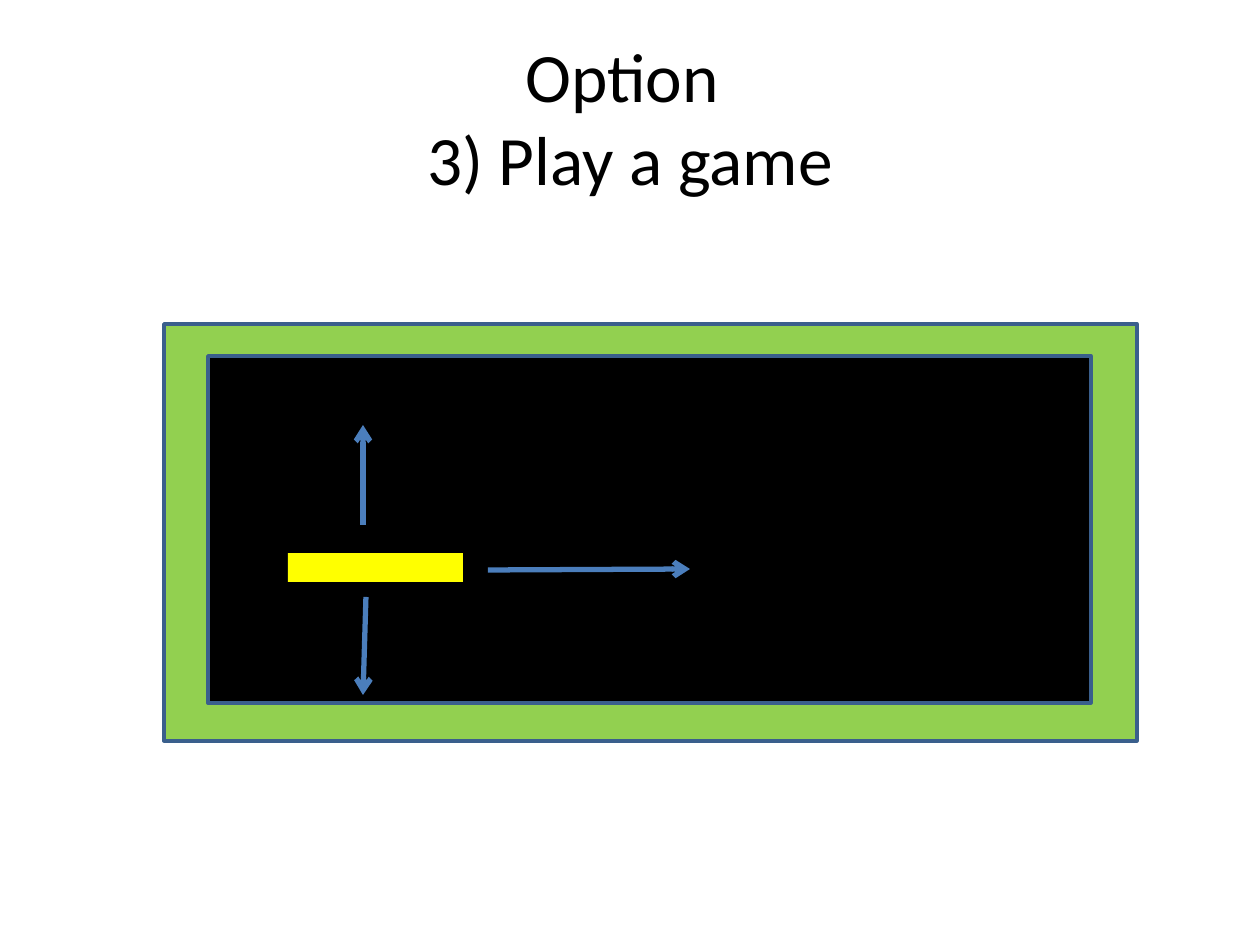
from typing import NamedTuple

from lxml.etree import SubElement
from pptx import Presentation
from pptx.dml.color import RGBColor
from pptx.enum.shapes import MSO_CONNECTOR, MSO_SHAPE
from pptx.enum.text import MSO_ANCHOR, PP_ALIGN
from pptx.oxml.ns import qn
from pptx.util import Emu, Pt

SCALE = 914400 // 126
COLORS = {
    "text": "000000",
    "grass": "92D050",
    "road": "000000",
    "car": "FFFF00",
    "edge": "3A5F8C",
    "arrow": "4B7EBC",
}


class Block(NamedTuple):
    left: int
    top: int
    width: int
    height: int
    fill: str
    edge: bool


class Arrow(NamedTuple):
    x1: int
    y1: int
    x2: int
    y2: int


BLOCKS = [
    Block(164, 324, 973, 417, "grass", True),
    Block(208, 356, 883, 347, "road", True),
    Block(288, 553, 175, 29, "car", False),
]
ARROWS = [
    Arrow(363, 525, 363, 425),  # up
    Arrow(366, 597, 363, 695),  # down
    Arrow(488, 570, 690, 569),  # forward
]


def px(n: int) -> Emu:
    return Emu(n * SCALE)


def color(name: str) -> RGBColor:
    return RGBColor.from_string(COLORS[name])


def draw_title(slide, lines: list[str]) -> None:
    box = slide.shapes.add_textbox(px(63), px(38), px(1134), px(157))
    frame = box.text_frame
    frame.word_wrap = True
    frame.vertical_anchor = MSO_ANCHOR.MIDDLE
    para = frame.paragraphs[0]
    para.alignment = PP_ALIGN.CENTER
    for i, line in enumerate(lines):
        if i:
            para.add_line_break()
        run = para.add_run()
        run.text = line
        run.font.name = "Calibri"
        run.font.size = Pt(39.6)
        run.font.color.rgb = color("text")


def draw_block(slide, block: Block) -> None:
    shape = slide.shapes.add_shape(
        MSO_SHAPE.RECTANGLE, px(block.left), px(block.top), px(block.width), px(block.height)
    )
    shape.shadow.inherit = False
    shape.fill.solid()
    shape.fill.fore_color.rgb = color(block.fill)
    if block.edge:
        shape.line.color.rgb = color("edge")
        shape.line.width = Pt(2)
    else:
        shape.line.fill.background()


def draw_arrow(slide, arrow: Arrow) -> None:
    link = slide.shapes.add_connector(MSO_CONNECTOR.STRAIGHT, *map(px, arrow))
    link.line.color.rgb = color("arrow")
    link.line.width = Pt(3)
    props = link._element.spPr
    SubElement(props.find(qn("a:ln")), qn("a:tailEnd"), type="arrow")
    SubElement(props, qn("a:effectLst"))


deck = Presentation()
deck.slide_width, deck.slide_height = px(1260), px(945)
slide = deck.slides.add_slide(deck.slide_layouts[6])

# Title; the first line keeps its trailing space
draw_title(slide, ["Option ", "3) Play a game"])

# Game field with the car
for block in BLOCKS:
    draw_block(slide, block)

# Moves of the car
for arrow in ARROWS:
    draw_arrow(slide, arrow)

deck.save("out.pptx")
